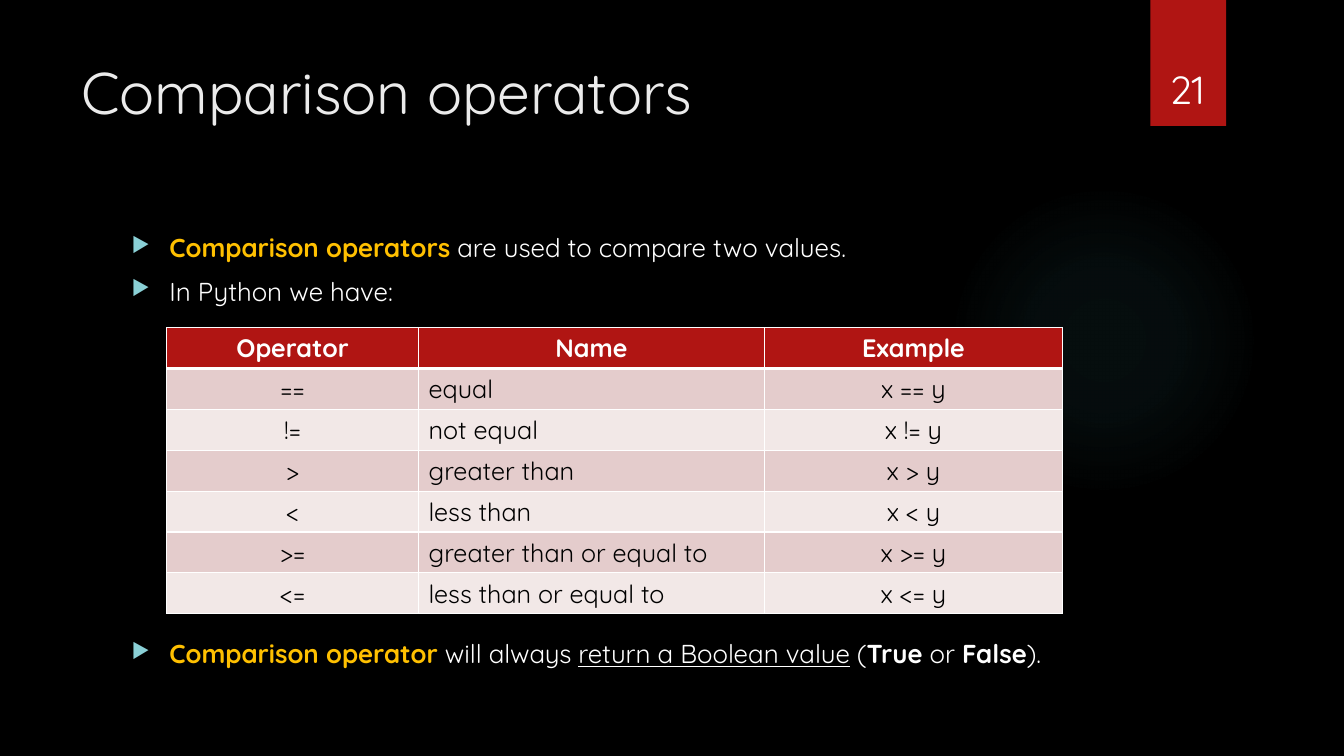
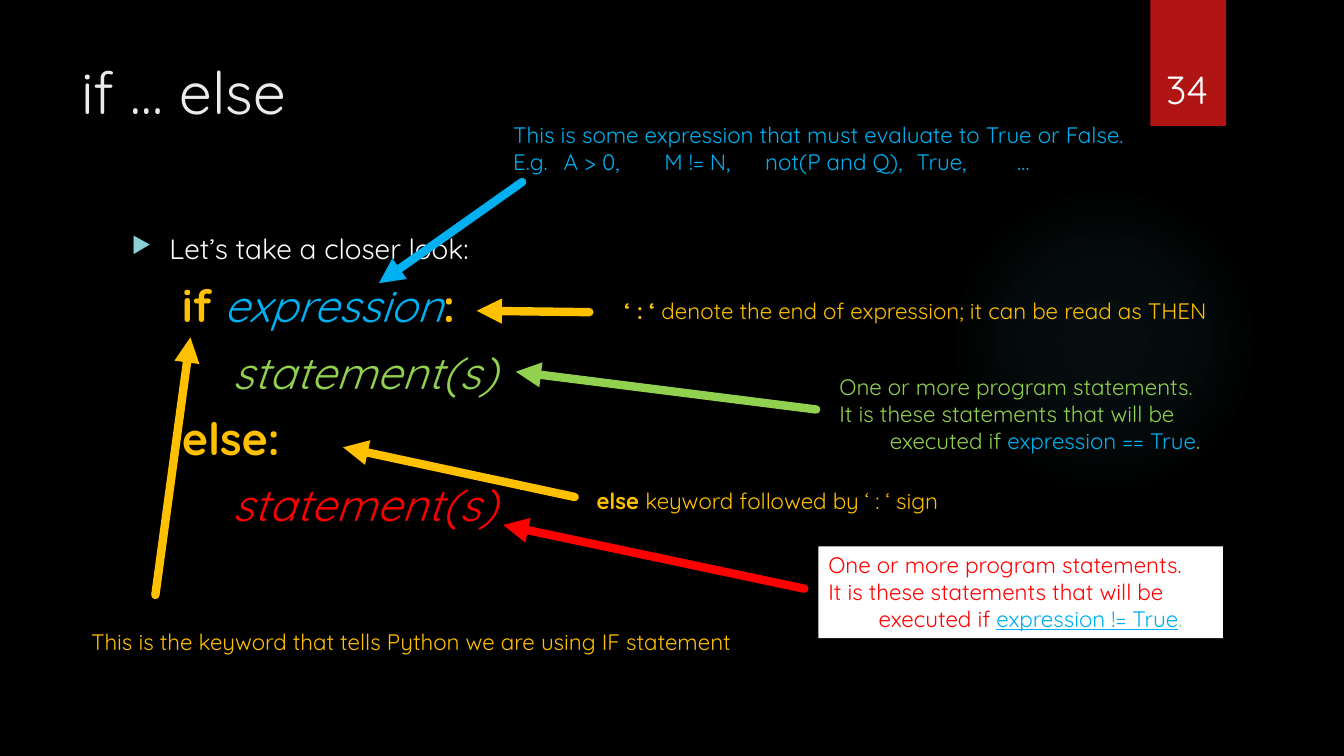
from dataclasses import dataclass

from lxml.etree import SubElement as Sub
from pptx import Presentation
from pptx.dml.color import RGBColor as RGB
from pptx.enum.shapes import MSO_CONNECTOR as Conn, MSO_SHAPE as Geo
from pptx.enum.text import MSO_ANCHOR as Anchor, MSO_AUTO_SIZE as Fit, PP_ALIGN as Align
from pptx.oxml.ns import qn
from pptx.util import Pt


@dataclass(frozen=True)
class Theme:
    font: str = "Quicksand"
    black: str = "000000"
    white: str = "FFFFFF"
    pale: str = "EBEBEB"
    red: str = "B01513"
    teal: str = "50B9C1"
    mint: str = "8AD0D6"
    gold: str = "FFC000"
    blue: str = "00B0F0"
    green: str = "92D050"
    alert: str = "FF0000"
    bands: tuple = ("E4CCCC", "F2E8E7")
    title: float = 42
    page: float = 28
    code: float = 32
    lead: float = 20
    body: float = 18.5
    cell: float = 18
    note: float = 16


T = Theme()
KEY = dict(color=T.gold, bold=True)
BOLD = dict(bold=True)
LINE = dict(underline=True)
CYAN = dict(color=T.blue)
STEP = 36    # one code indent
HANG = 27    # bullet to text

# A paragraph is (runs, format); a run is (text, format).
ITEM = dict(bullet="▶", before=9)

USES = [
    ([("Comparison operators ", KEY), ("are used to compare two values.", {})], ITEM),
    ([("In Python we have:", {})], ITEM),
]
RESULT = [
    ([("Comparison operator ", KEY), ("will always ", {}),
      ("return a Boolean value", LINE), (" (", {}), ("True", BOLD),
      (" or ", {}), ("False", BOLD), (").", {})], ITEM),
]
HEADS = ("Operator", "Name", "Example")
SIGNS = [
    ("==", "equal"),
    ("!=", "not equal"),
    (">", "greater than"),
    ("<", "less than"),
    (">=", "greater than or equal to"),
    ("<=", "less than or equal to"),
]
WIDTHS = (180, 247, 213)
ROW = 29.2


def code(level, *runs):
    """Return one code line, indented by level steps."""
    return [(text, dict(size=T.code, **form)) for text, form in runs], dict(
        left=level * STEP, before=9)


def block(color):
    return "statement(s)", dict(color=color, italic=True)


SYNTAX = [
    ([("Let’s take a closer look:", {})], ITEM),
    code(1, ("if ", KEY), ("expression", dict(color=T.blue, italic=True)), (":", KEY)),
    code(2, block(T.green)),
    code(1, ("else:", KEY)),
    code(2, block(T.alert)),
]


def branch(test, form):
    """Return the note on the statements that run after a test."""
    return [
        ([("One or more program statements.", {})], {}),
        ([("It is these statements that will be", {})], {}),
        ([("executed if ", {}), (test, form), (".", dict(color=T.green))],
         dict(left=STEP)),
    ]


# Place, colour, fill, paragraphs
NOTES = [
    ((58, 445, 488, 26.4), T.gold, None,
     [([("This is the keyword that tells Python we are using IF statement", {})], {})]),
    ((359.5, 82.8, 463.5, 46), T.blue, None, [
        ([("This is some expression that must evaluate to True or False.", {})], {}),
        ([("E.g. \tA > 0, \tM != N,\tnot(P and Q), \tTrue, \t…", {})],
         dict(tabs=[n * STEP for n in (1, 3, 5, 8, 10)])),
    ]),
    ((592.5, 263, 289, 65.5), T.green, None, branch("expression == True", CYAN)),
    ((439, 208.5, 456.5, 26.4), T.gold, None,
     [([("‘ : ‘", BOLD),
        (" denote the end of expression; it can be read as THEN", {})], {})]),
    ((419, 344.5, 278, 26.4), T.gold, None,
     [([("else", BOLD), (" keyword followed by ‘ : ‘ sign", {})], {})]),
    ((584.6, 390.3, 289, 65.5), T.alert, T.white,
     branch("expression != True", CYAN | LINE)),
]
# From, to, colour
ARROWS = [
    ((111, 425), (136, 241), T.gold),
    ((583, 292.5), (368.5, 265.5), T.green),
    ((373, 130), (270.7, 202.3), T.blue),
    ((421, 223), (340.5, 222), T.gold),
    ((410.5, 355), (245, 319.5), T.gold),
    ((574.5, 420.5), (359.5, 375), T.alert),
]


def pts(vals):
    return [Pt(val) for val in vals]


def child(node, tag, **vals):
    return Sub(node, qn("a:" + tag), {key: str(val) for key, val in vals.items()})


def paint(fill, color):
    fill.solid()
    fill.fore_color.rgb = RGB.from_string(color)


def style(font, form):
    for key, val in form.items():
        if key == "color":
            font.color.rgb = RGB.from_string(val)
        else:
            setattr(font, key, Pt(val) if key == "size" else val)


def layout(para, left=0, before=0, bullet=None, tabs=(), align=None):
    para.space_before = Pt(before)
    para.alignment = align
    props = para._p.get_or_add_pPr()
    props.set("marL", str(Pt(HANG if bullet else left)))
    props.set("indent", str(Pt(-HANG if bullet else 0)))
    if bullet:
        child(child(props, "buClr"), "srgbClr", val=T.mint)
        child(props, "buSzPct", val=80000)
        child(props, "buChar", char=bullet)
    if tabs:
        stops = child(props, "tabLst")
        for pos in tabs:
            child(stops, "tab", pos=Pt(pos), algn="l")


def write(frame, paras, **base):
    for num, (runs, form) in enumerate(paras):
        para = frame.add_paragraph() if num else frame.paragraphs[0]
        layout(para, **form)
        for text, extra in runs:
            run = para.add_run()
            run.text = text
            style(run.font, dict(name=T.font) | base | extra)


def label(slide, place, paras, wrap=True, anchor=Anchor.TOP, **base):
    box = slide.shapes.add_textbox(*pts(place))
    frame = box.text_frame
    frame.word_wrap = wrap
    frame.vertical_anchor = anchor
    if not wrap:
        frame.auto_size = Fit.SHAPE_TO_FIT_TEXT
    write(frame, paras, **base)
    return box


def plain(slide, geo, place):
    shape = slide.shapes.add_shape(geo, *pts(place))
    shape.shadow.inherit = False
    shape.line.fill.background()
    return shape


def glow(slide):
    """Add the faint round light behind the content."""
    disc = plain(slide, Geo.OVAL, (677.5, 131.8, 221.8, 221.8))
    disc.fill.gradient()
    grad = disc._element.spPr.find(qn("a:gradFill"))
    for node in list(grad):
        grad.remove(node)
    stops = child(grad, "gsLst")
    for pos, alpha in ((0, 7), (36, 6), (69, 0)):
        stop = child(stops, "gs", pos=pos * 1000)
        child(child(stop, "srgbClr", val=T.teal), "alpha", val=alpha * 1000)
    way = child(grad, "path", path="circle")
    child(way, "fillToRect", l=50000, t=50000, r=50000, b=50000)


def start(deck, title, page):
    """Add a slide with the shared light, ribbon, title and page number."""
    slide = deck.slides.add_slide(deck.slide_layouts[6])
    paint(slide.background.fill, T.black)
    glow(slide)
    paint(plain(slide, Geo.RECTANGLE, (821.8, 0, 54, 90)).fill, T.red)
    label(slide, (51, 36, 741, 110), [([(title, {})], {})],
          size=T.title, color=T.pale)
    label(slide, (815, 23, 66, 60.5), [([(page, {})], dict(align=Align.CENTER))],
          anchor=Anchor.BOTTOM, size=T.page, color=T.white)
    return slide


def edge(cell, base):
    """Draw white cell borders, with the given weight below."""
    props = cell._tc.get_or_add_tcPr()
    for side, width in dict(L=1, R=1, T=1, B=base).items():
        line = child(props, "ln" + side, w=Pt(width))
        child(child(line, "solidFill"), "srgbClr", val=T.white)


def grid(slide):
    rows = [HEADS] + [(sign, name, f"x {sign} y") for sign, name in SIGNS]
    place = (119, 234, sum(WIDTHS), ROW * len(rows))
    table = slide.shapes.add_table(len(rows), len(HEADS), *pts(place)).table
    table.horz_banding = False
    for col, width in zip(table.columns, WIDTHS):
        col.width = Pt(width)
    for y, row in enumerate(rows):
        table.rows[y].height = Pt(ROW)
        head = y == 0
        for x, text in enumerate(row):
            cell = table.cell(y, x)
            edge(cell, 3 if head else 1)
            paint(cell.fill, T.red if head else T.bands[(y - 1) % 2])
            side = Align.LEFT if x == 1 and not head else Align.CENTER
            write(cell.text_frame, [([(text, {})], dict(align=side))], size=T.cell,
                  bold=head, color=T.white if head else T.black)


def arrow(slide, tail, head, color):
    link = slide.shapes.add_connector(Conn.STRAIGHT, *pts(tail + head))
    link.line.width = Pt(6)
    paint(link.line.fill, color)
    line = link.line._get_or_add_ln()
    line.set("cap", "rnd")
    child(line, "tailEnd", type="triangle")
    child(link._element.spPr, "effectLst")


def main():
    deck = Presentation()
    deck.slide_width, deck.slide_height = Pt(960), Pt(540)

    slide = start(deck, "Comparison operators", "21")
    for top, high, paras in ((162, 65, USES), (452, 32, RESULT)):
        label(slide, (87, top, 715, high), paras, size=T.body, color=T.white)
    grid(slide)

    slide = start(deck, "if … else", "34")
    label(slide, (87, 162, 704, 330), SYNTAX, size=T.lead, color=T.white)
    for place, color, fill, paras in NOTES:
        box = label(slide, place, paras, wrap=False, size=T.note, color=color)
        if fill:
            paint(box.fill, fill)
    for tail, head, color in ARROWS:
        arrow(slide, tail, head, color)

    deck.save("out.pptx")


if __name__ == "__main__":
    main()
